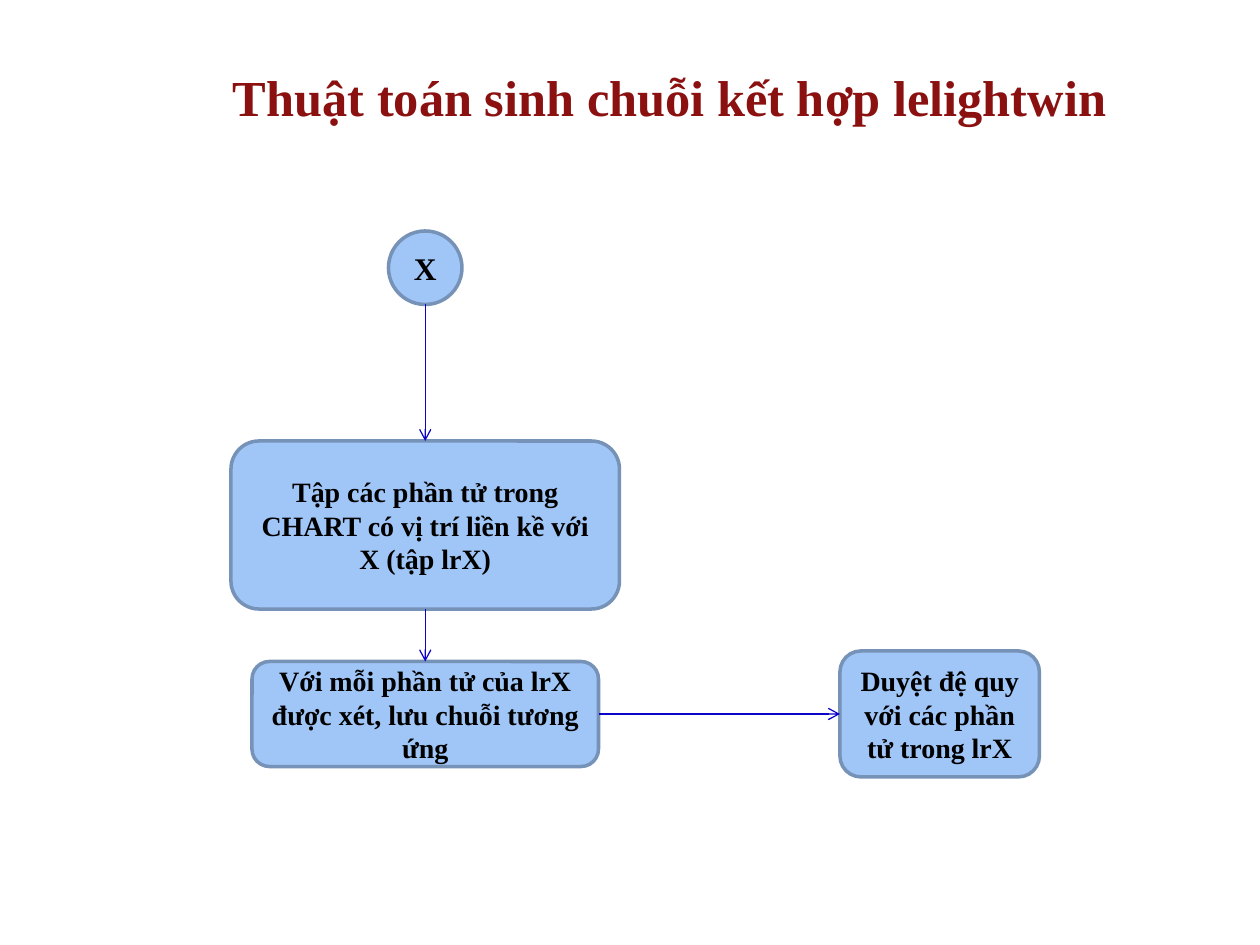
from dataclasses import dataclass

from lxml import etree
from pptx import Presentation
from pptx.dml.color import RGBColor
from pptx.enum.shapes import MSO_CONNECTOR, MSO_SHAPE
from pptx.enum.text import MSO_ANCHOR, PP_ALIGN
from pptx.oxml.ns import qn
from pptx.shapes.autoshape import Shape
from pptx.slide import Slide
from pptx.util import Pt

OVAL = MSO_SHAPE.OVAL
ROUNDED = MSO_SHAPE.ROUNDED_RECTANGLE
STRAIGHT = MSO_CONNECTOR.STRAIGHT
MIDDLE = MSO_ANCHOR.MIDDLE
LEFT = PP_ALIGN.LEFT
CENTER = PP_ALIGN.CENTER
TOP_SIDE, LEFT_SIDE, BOTTOM_SIDE, RIGHT_SIDE = range(4)
EMU_PER_PX = 7620


@dataclass(frozen=True)
class Theme:
    font: str = "Times New Roman"
    title: RGBColor = RGBColor(0x8B, 0x11, 0x11)
    text: RGBColor = RGBColor(0, 0, 0)
    fill: RGBColor = RGBColor(0xA0, 0xC6, 0xF8)
    outline: RGBColor = RGBColor(0x76, 0x92, 0xB7)
    arrow: RGBColor = RGBColor(0x0C, 0x03, 0xC9)
    title_size: float = 28.8
    start_size: float = 18
    step_size: float = 16
    outline_width: float = 2
    arrow_width: float = 0.75


THEME = Theme()


@dataclass(frozen=True)
class Box:
    left: int
    top: int
    width: int
    height: int

    def emu(self) -> tuple[int, int, int, int]:
        return px(self.left), px(self.top), px(self.width), px(self.height)

    def side(self, index: int) -> tuple[int, int]:
        center_x = self.left + self.width // 2
        center_y = self.top + self.height // 2
        x, y = (
            (center_x, self.top),
            (self.left, center_y),
            (center_x, self.top + self.height),
            (self.left + self.width, center_y),
        )[index]
        return px(x), px(y)


@dataclass(frozen=True)
class Node:
    box: Box
    text: str
    size: float = THEME.step_size
    kind: MSO_SHAPE = ROUNDED


@dataclass(frozen=True)
class Arrow:
    source: str
    source_side: int
    target: str
    target_side: int


TITLE_BOX = Box(210, 60, 960, 64)
TITLE = "Thuật toán sinh chuỗi kết hợp lelightwin"
NODES = {
    "start": Node(Box(370, 220, 70, 70), "X", THEME.start_size, OVAL),
    "neighbours": Node(
        Box(220, 420, 370, 160),
        "Tập các phần tử trong CHART có vị trí liền kề với X (tập lrX)",
    ),
    "save": Node(
        Box(240, 630, 330, 100),
        "Với mỗi phần tử của lrX được xét, lưu chuỗi tương ứng",
    ),
    "recurse": Node(
        Box(800, 620, 190, 120), "Duyệt đệ quy với các phần tử trong lrX"
    ),
}
ARROWS = (
    Arrow("start", BOTTOM_SIDE, "neighbours", TOP_SIDE),
    Arrow("neighbours", BOTTOM_SIDE, "save", TOP_SIDE),
    Arrow("save", RIGHT_SIDE, "recurse", LEFT_SIDE),
)


def px(length: int) -> int:
    return length * EMU_PER_PX


def write_text(
    shape: Shape, text: str, size: float, color: RGBColor, alignment: PP_ALIGN
) -> None:
    frame = shape.text_frame
    frame.word_wrap = True
    frame.vertical_anchor = MIDDLE
    paragraph = frame.paragraphs[0]
    paragraph.alignment = alignment
    run = paragraph.add_run()
    run.text = text
    run.font.name = THEME.font
    run.font.size = Pt(size)
    run.font.bold = True
    run.font.color.rgb = color


def draw_node(slide: Slide, node: Node) -> Shape:
    shape = slide.shapes.add_shape(node.kind, *node.box.emu())
    shape.shadow.inherit = False
    shape.fill.solid()
    shape.fill.fore_color.rgb = THEME.fill
    shape.line.color.rgb = THEME.outline
    shape.line.width = Pt(THEME.outline_width)
    write_text(shape, node.text, node.size, THEME.text, CENTER)
    return shape


def draw_arrow(slide: Slide, arrow: Arrow, shapes: dict[str, Shape]) -> None:
    source, target = NODES[arrow.source], NODES[arrow.target]
    connector = slide.shapes.add_connector(
        STRAIGHT,
        *source.box.side(arrow.source_side),
        *target.box.side(arrow.target_side),
    )
    if source.kind == ROUNDED:
        connector.begin_connect(shapes[arrow.source], arrow.source_side)
    connector.end_connect(shapes[arrow.target], arrow.target_side)
    connector.line.color.rgb = THEME.arrow
    connector.line.width = Pt(THEME.arrow_width)
    properties = connector.line._get_or_add_ln()
    etree.SubElement(properties, qn("a:tailEnd"), type="arrow")
    etree.SubElement(connector._element.spPr, qn("a:effectLst"))


def main() -> None:
    presentation = Presentation()
    presentation.slide_width = px(1200)
    presentation.slide_height = px(900)
    slide = presentation.slides.add_slide(presentation.slide_layouts[6])
    title = slide.shapes.add_textbox(*TITLE_BOX.emu())
    write_text(title, TITLE, THEME.title_size, THEME.title, LEFT)
    shapes = {name: draw_node(slide, node) for name, node in NODES.items()}
    for arrow in ARROWS:
        draw_arrow(slide, arrow, shapes)
    presentation.save("out.pptx")


if __name__ == "__main__":
    main()
